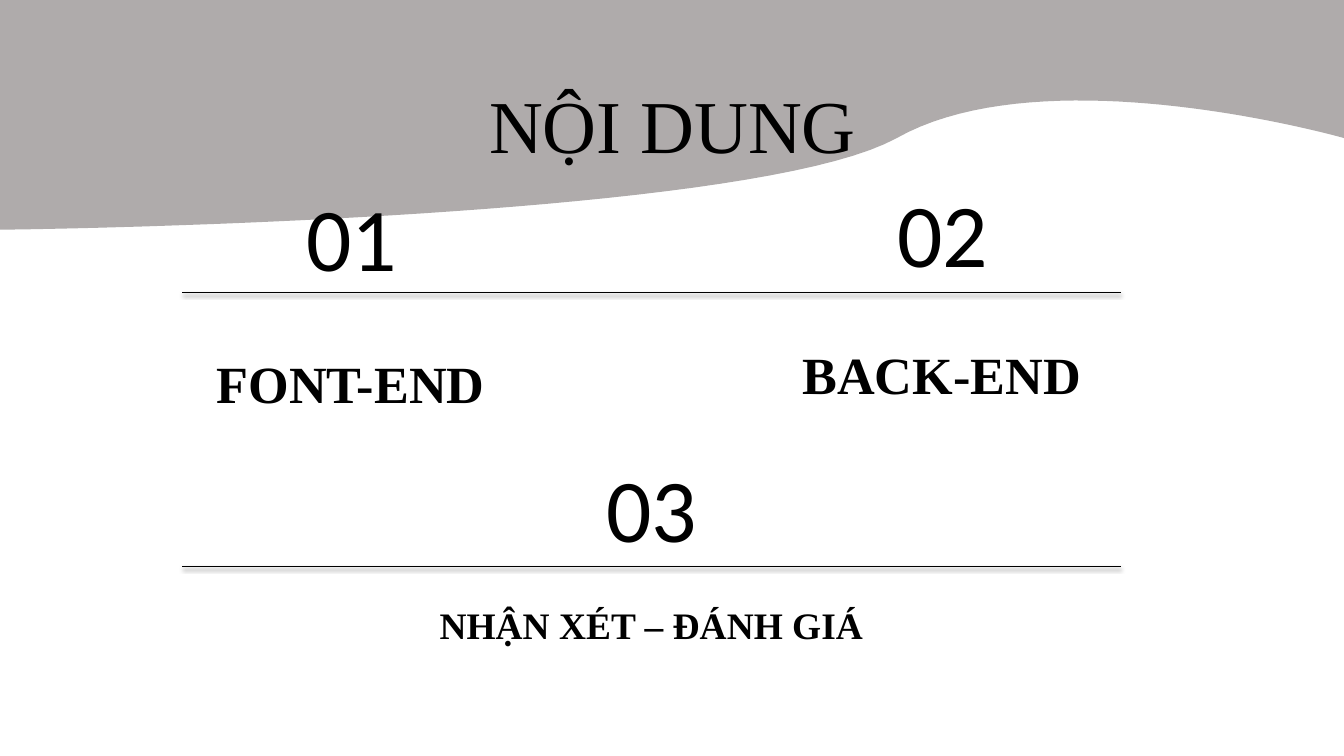
"""Build the contents slide with three numbered sections under a grey wave."""
from lxml import etree
from pptx import Presentation
from pptx.dml.color import RGBColor
from pptx.enum.shapes import MSO_CONNECTOR
from pptx.enum.text import MSO_ANCHOR, MSO_AUTO_SIZE, PP_ALIGN
from pptx.oxml import parse_xml
from pptx.oxml.ns import nsdecls
from pptx.util import Cm, Pt

WIDTH, HEIGHT = 33.87, 19.05
INK, GREY = "000000", "AFABAB"
SERIF, SANS = "Times New Roman", "Calibri"
INSET = 0.33

HEADING = ("NỘI DUNG", (4.17, 1.5, 25.55, 3.51))
SECTIONS = [
    ("01", (5.61, 4.88), "FONT-END", (2.26, 8.23, 13.16, 2.54), 37.3),
    ("02", (20.5, 4.78), "BACK-END", (17.93, 8.41, 11.61, 2.13), 37.3),
    ("03", (13.18, 11.71), "NHẬN XÉT – ĐÁNH GIÁ", (10.72, 14.27, 11.4, 2.36), 26.7),
]
NUMBER_SIZE = (6.5, 2.13)
RULE_LEFT, RULE_RIGHT = 4.6, 28.24
RULE_TOPS = [7.37, 14.27]
WAVE = [
    ((0, 5.79), (0, 5.79), (18.8, 5.59), (22.6, 3.48)),
    ((22.6, 3.48), (26.39, 1.35), (WIDTH, 3.48), (WIDTH, 3.48)),
]
WAVE_STEPS = 40


def colour(value):
    return RGBColor.from_string(value)


def curve_points(curve):
    for step in range(WAVE_STEPS + 1):
        t = step / WAVE_STEPS
        weights = ((1 - t) ** 3, 3 * t * (1 - t) ** 2, 3 * t * t * (1 - t), t ** 3)
        yield tuple(
            Cm(sum(w * point[axis] for w, point in zip(weights, curve)))
            for axis in (0, 1)
        )


def add_wave(slide):
    builder = slide.shapes.build_freeform(0, 0)
    edge = [point for curve in WAVE for point in curve_points(curve)]
    builder.add_line_segments(edge + [(Cm(WIDTH), 0)], close=True)
    wave = builder.convert_to_shape()
    wave.shadow.inherit = False
    wave.fill.solid()
    wave.fill.fore_color.rgb = colour(GREY)
    wave.line.fill.background()


def write(box, text, font, size, anchor, bold=False):
    frame = box.text_frame
    frame.word_wrap = True
    frame.auto_size = MSO_AUTO_SIZE.NONE
    frame.vertical_anchor = anchor
    frame.margin_left = frame.margin_right = Cm(INSET)
    frame.margin_top = frame.margin_bottom = Cm(INSET)
    paragraph = frame.paragraphs[0]
    paragraph.alignment = PP_ALIGN.CENTER
    run = paragraph.add_run()
    run.text = text
    run.font.name = font
    run.font.size = Pt(size)
    run.font.bold = bold
    run.font.color.rgb = colour(INK)
    return paragraph


def add_heading(slide):
    text, place = HEADING
    title = slide.shapes.title
    title.left, title.top, title.width, title.height = map(Cm, place)
    write(title, text, SERIF, 53.3, MSO_ANCHOR.MIDDLE).line_spacing = 0.9


def add_section(slide, number, corner, caption, place, size):
    number_box = slide.shapes.add_textbox(*map(Cm, corner + NUMBER_SIZE))
    write(number_box, number, SANS, 64, MSO_ANCHOR.MIDDLE)
    caption_box = slide.shapes.add_textbox(*map(Cm, place))
    write(caption_box, caption, SERIF, size, MSO_ANCHOR.BOTTOM, bold=True)


def add_rule(slide, top):
    rule = slide.shapes.add_connector(
        MSO_CONNECTOR.STRAIGHT, Cm(RULE_LEFT), Cm(top), Cm(RULE_RIGHT), Cm(top)
    )
    rule.line.color.rgb = colour(INK)
    rule.line.width = Pt(1)
    effects = parse_xml(f"<a:effectLst {nsdecls('a')}/>")
    shadow = etree.SubElement(
        effects, effects.tag.replace("effectLst", "outerShdw"),
        blurRad=str(Pt(3.1)), dist=str(Pt(1.6)), dir="5400000", rotWithShape="0",
    )
    shade = etree.SubElement(shadow, shadow.tag.replace("outerShdw", "srgbClr"), val=INK)
    etree.SubElement(shade, shade.tag.replace("srgbClr", "alpha"), val="38000")
    rule._element.spPr.append(effects)


def main():
    deck = Presentation()
    deck.slide_width, deck.slide_height = Cm(WIDTH), Cm(HEIGHT)
    slide = deck.slides.add_slide(deck.slide_layouts[5])
    add_wave(slide)
    title = slide.shapes.title._element
    title.getparent().append(title)
    add_heading(slide)
    for section in SECTIONS:
        add_section(slide, *section)
    for top in RULE_TOPS:
        add_rule(slide, top)
    deck.save("out.pptx")


if __name__ == "__main__":
    main()
